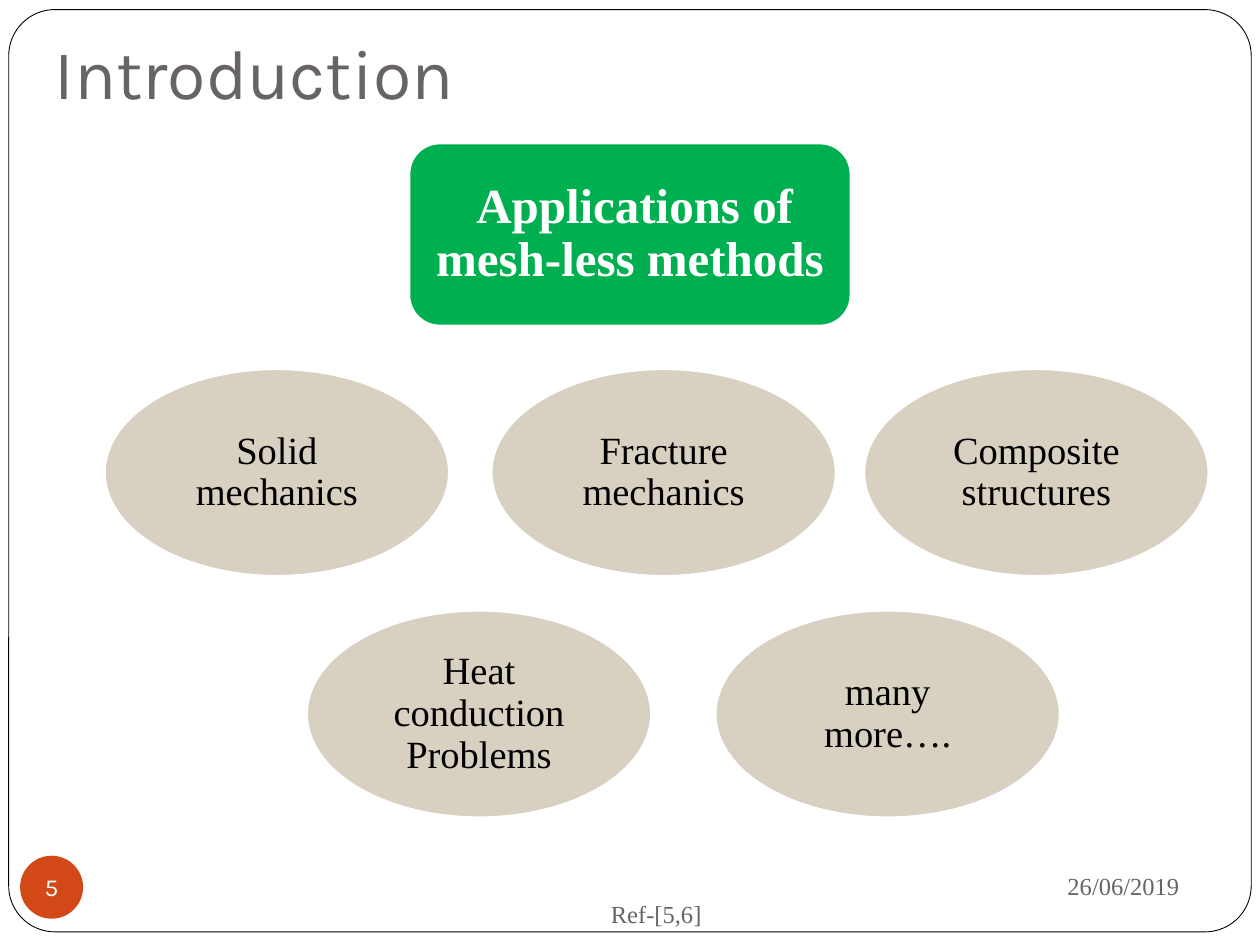
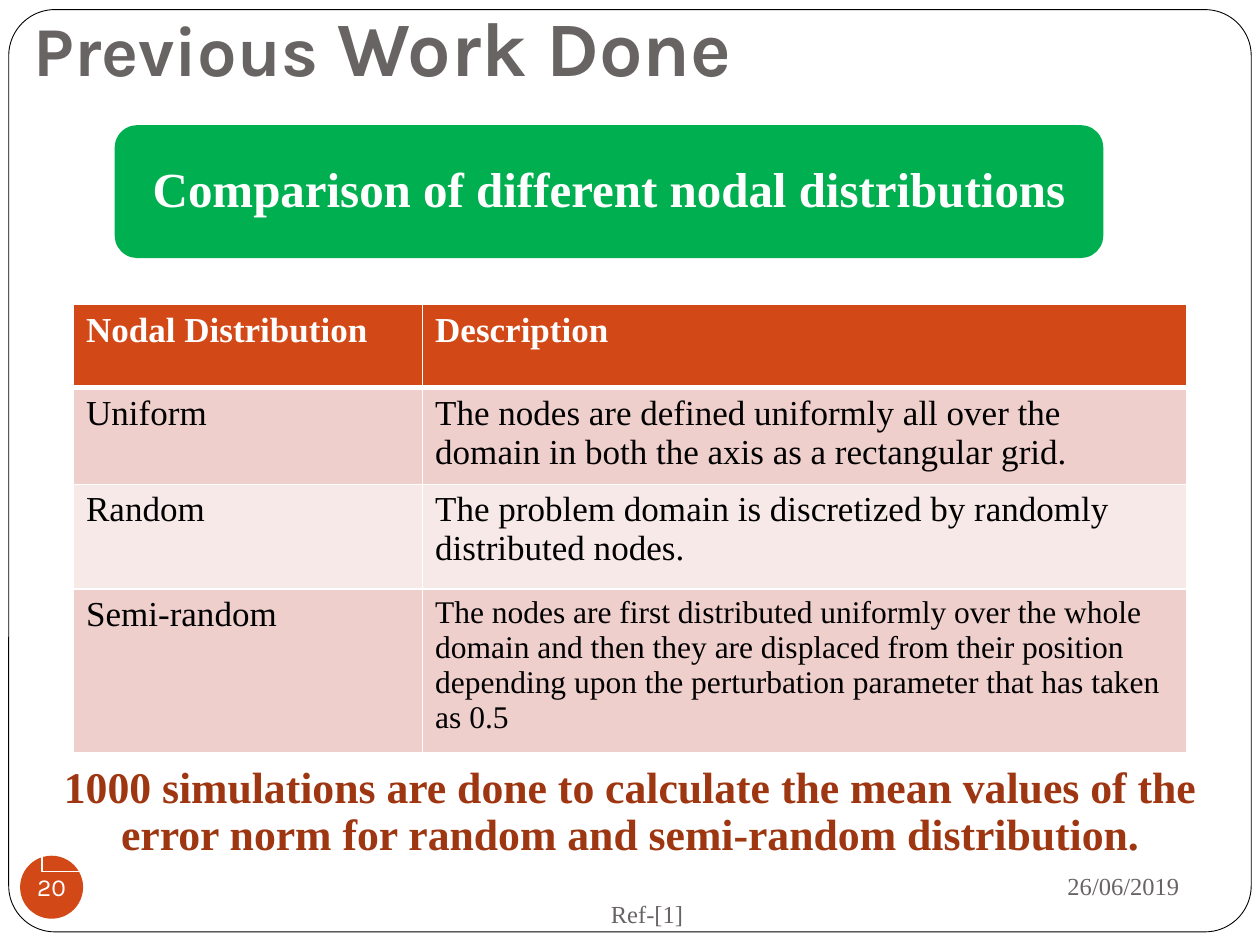
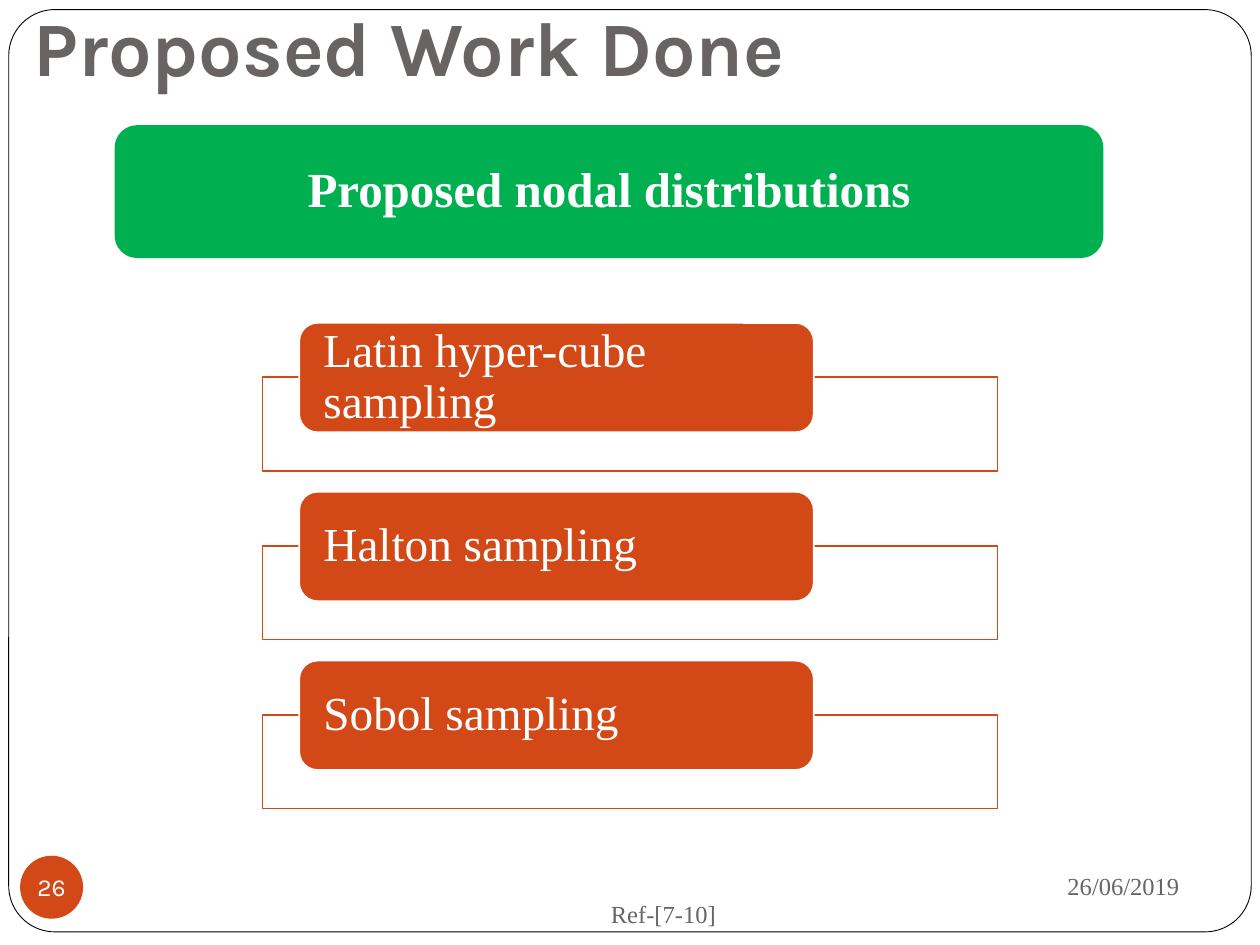
from dataclasses import dataclass

from lxml import etree
from pptx import Presentation
from pptx.dml.color import RGBColor
from pptx.enum.shapes import MSO_SHAPE
from pptx.enum.text import MSO_ANCHOR, MSO_AUTO_SIZE, PP_ALIGN
from pptx.oxml.ns import qn
from pptx.util import Pt

ROUNDED = MSO_SHAPE.ROUNDED_RECTANGLE
BANNER = MSO_SHAPE.FLOWCHART_ALTERNATE_PROCESS
OVAL = MSO_SHAPE.OVAL
RECTANGLE = MSO_SHAPE.RECTANGLE
LEFT, CENTER, RIGHT = PP_ALIGN.LEFT, PP_ALIGN.CENTER, PP_ALIGN.RIGHT
MIDDLE, BOTTOM = MSO_ANCHOR.MIDDLE, MSO_ANCHOR.BOTTOM
NO_AUTOFIT = MSO_AUTO_SIZE.NONE
TITLE_ONLY = 5


@dataclass(frozen=True)
class Theme:
    # Fonts
    heading_font: str = "Karla"
    body_font: str = "Times New Roman"
    # Colours
    white: str = "FFFFFF"
    black: str = "000000"
    grey: str = "696464"
    green: str = "00B050"
    orange: str = "D34817"
    rust: str = "9E3611"
    sand: str = "D8D0C0"
    band_dark: str = "EFCFCC"
    band_light: str = "F7E9E8"
    # Type sizes
    title: int = 40
    title_large: int = 44
    banner: int = 28
    sampling: int = 27
    note: int = 25
    oval: int = 22
    table: int = 20
    table_small: int = 18
    footer: int = 14


THEME = Theme()
FRAME_BOX = (5, 5.5, 710, 527)
BADGE_BOX = (11.5, 489, 36, 36)
REFERENCE_BOX = (342, 504, 312, 36)
DATE_BOX = (486, 487.5, 195, 37.5)
TITLE_BOX = (12, -30, 612, 90)
BANNER_BOX = (66, 72, 564, 75)


# Shared helpers
def color(value):
    return RGBColor.from_string(value)


def points(box):
    return [Pt(length) for length in box]


def style_font(font, size, text_color, bold=False, name=THEME.body_font):
    font.name = name
    font.size = Pt(size)
    font.bold = bold
    font.color.rgb = color(text_color)


def set_margins(text_frame, left, top, right, bottom):
    text_frame.margin_left, text_frame.margin_top = Pt(left), Pt(top)
    text_frame.margin_right, text_frame.margin_bottom = Pt(right), Pt(bottom)


def write(shape, text, size, text_color, bold=False, name=THEME.body_font,
          align=CENTER, margins=(7.2, 7.2), spacing=0.9, wrap=True):
    text_frame = shape.text_frame
    text_frame.text = text
    text_frame.word_wrap = wrap
    text_frame.vertical_anchor = MIDDLE
    set_margins(text_frame, *margins, *margins)
    paragraph = text_frame.paragraphs[0]
    paragraph.alignment = align
    paragraph.line_spacing = spacing
    style_font(paragraph.runs[0].font, size, text_color, bold, name)


def add_box(slide, kind, box, fill=None, line=None, width=1):
    shape = slide.shapes.add_shape(kind, *points(box))
    shape.shadow.inherit = False
    if fill:
        shape.fill.solid()
        shape.fill.fore_color.rgb = color(fill)
    else:
        shape.fill.background()
    if line:
        shape.line.color.rgb = color(line)
        shape.line.width = Pt(width)
    else:
        shape.line.fill.background()
    return shape


# Parts found on every slide
def add_frame_to_layout(slide, layout):
    frame = add_box(slide, ROUNDED, FRAME_BOX, THEME.white, THEME.black, 0.5)
    frame.adjustments[0] = 0.05
    frame.element.nvSpPr.cNvPr.set("id", "20")
    layout.shapes.element.append(frame.element)


def add_title(slide, box, pieces, bold):
    title = slide.shapes.title
    title.left, title.top, title.width, title.height = points(box)
    text_frame = title.text_frame
    text_frame.auto_size = NO_AUTOFIT
    text_frame.word_wrap = True
    text_frame.vertical_anchor = BOTTOM
    set_margins(text_frame, 7.2, 3.6, 7.2, 7.2)
    paragraph = text_frame.paragraphs[0]
    paragraph.alignment = LEFT
    for text, size in pieces:
        run = paragraph.add_run()
        run.text = text
        style_font(run.font, size, THEME.grey, bold, THEME.heading_font)


def add_footer(slide, number, reference):
    badge = add_box(slide, OVAL, BADGE_BOX, THEME.orange)
    write(badge, number, THEME.footer, THEME.white, name=THEME.heading_font,
          margins=(0, 0), spacing=1, wrap=False)
    for box, text, align in ((REFERENCE_BOX, reference, LEFT),
                             (DATE_BOX, "26/06/2019", RIGHT)):
        text_box = slide.shapes.add_textbox(*points(box))
        write(text_box, text, THEME.footer, THEME.grey, align=align,
              margins=(7.2, 3.6), spacing=1)


def add_banner(slide, box, text, kind=BANNER, line=THEME.green, margin=8.64):
    banner = add_box(slide, kind, box, THEME.green, line)
    write(banner, text, THEME.banner, THEME.white, bold=True,
          margins=(margin, margin))


# Ovals naming the applications
def add_applications(slide, box):
    left, top, width, height = box
    oval_width, oval_height = 196.5, 118
    rows = (
        ((0, "Solid mechanics"), (221, "Fracture mechanics"),
         (434, "Composite structures")),
        ((115.5, "Heat conduction Problems"), (349, "many more….")),
    )
    pitch = (height - oval_height) / (len(rows) - 1)
    for index, row in enumerate(rows):
        for offset, text in row:
            oval_box = (left + offset, top + index * pitch,
                        oval_width, oval_height)
            oval = add_box(slide, OVAL, oval_box, THEME.sand, THEME.white)
            write(oval, text, THEME.oval, THEME.black, margins=(6.5, 6.5))


# Table of nodal distributions
def set_borders(cell, bottom_width):
    properties = cell._tc.get_or_add_tcPr()
    widths = {"a:lnL": 1, "a:lnR": 1, "a:lnT": 1, "a:lnB": bottom_width}
    for index, (tag, width) in enumerate(widths.items()):
        border = etree.Element(qn(tag), w=str(Pt(width)))
        fill = etree.SubElement(border, qn("a:solidFill"))
        etree.SubElement(fill, qn("a:srgbClr"), val=THEME.white)
        properties.insert(index, border)


def add_distribution_table(slide, box):
    column_widths = (199.5, 436.5)
    rows = (
        (47.5, THEME.orange, THEME.table,
         ("Nodal Distribution", "Description")),
        (52, THEME.band_dark, THEME.table,
         ("Uniform", "The nodes are defined uniformly all over the domain "
          "in both the axis as a rectangular grid.")),
        (60, THEME.band_light, THEME.table,
         ("Random", "The problem domain is discretized by randomly "
          "distributed nodes.")),
        (75, THEME.band_dark, THEME.table_small,
         ("Semi-random", "The nodes are first distributed uniformly over "
          "the whole domain and then they are displaced from their position "
          "depending upon the perturbation parameter that has taken as 0.5")),
    )
    table = slide.shapes.add_table(
        len(rows), len(column_widths), *points(box)).table
    for column, width in zip(table.columns, column_widths):
        column.width = Pt(width)
    for row_index, (height, fill, size, texts) in enumerate(rows):
        header = row_index == 0
        table.rows[row_index].height = Pt(height)
        for cell, text, text_size in zip(table.rows[row_index].cells, texts,
                                         (THEME.table, size)):
            cell.text = text
            cell.fill.solid()
            cell.fill.fore_color.rgb = color(fill)
            set_borders(cell, 3 if header else 1)
            style_font(cell.text_frame.paragraphs[0].runs[0].font, text_size,
                       THEME.white if header else THEME.black, header)


def add_note(slide, box, text):
    note = add_box(slide, RECTANGLE, box, line=THEME.white)
    write(note, text, THEME.note, THEME.rust, bold=True)


# Sampling methods, each a label over an outlined panel
def add_sampling_list(slide, box, names):
    left, top, width, height = box
    panel_height, panel_drop = 53.5, 31
    pitch = (height - panel_drop - panel_height) / (len(names) - 1)
    for index, name in enumerate(names):
        label_top = top + index * pitch
        panel = add_box(slide, RECTANGLE,
                        (left, label_top + panel_drop, width, panel_height),
                        THEME.white, THEME.orange)
        panel_color = panel.element.spPr.find(
            qn("a:solidFill")).find(qn("a:srgbClr"))
        etree.SubElement(panel_color, qn("a:alpha"), val="90000")
        label = add_box(slide, ROUNDED,
                        (left + 21, label_top, 0.7 * width, 62.5),
                        THEME.orange, THEME.white)
        write(label, name, THEME.sampling, THEME.white, align=LEFT,
              margins=(10.8, 0))


# Slides
def build_introduction(slide):
    add_title(slide, (24, -18, 612, 90), [("Introduction", THEME.title)],
              bold=False)
    add_banner(slide, (234, 82, 252, 104),
               " Applications of mesh-less methods", ROUNDED, THEME.white, 7.2)
    add_footer(slide, "5", "Ref-[5,6]")
    add_applications(slide, (60, 211, 630.5, 256))


def build_previous_work(slide):
    add_title(slide, TITLE_BOX, [("Previous", THEME.title),
                                 (" Work Done", THEME.title_large)], bold=True)
    add_footer(slide, "20", "Ref-[1]")
    add_banner(slide, BANNER_BOX,
               "Comparison of different nodal distributions")
    add_distribution_table(slide, (42, 174, 636, 234.5))
    add_note(slide, (24, 430.5, 672, 67.5),
             "1000 simulations are done to calculate the mean values of the "
             "error norm for random and semi-random distribution.")


def build_proposed_work(slide):
    add_title(slide, TITLE_BOX, [("Proposed Work Done", THEME.title_large)],
              bold=True)
    add_footer(slide, "26", "Ref-[7-10]")
    add_banner(slide, BANNER_BOX, "Proposed nodal distributions")
    add_sampling_list(slide, (150, 184.5, 420, 277.5),
                      ("Latin hyper-cube sampling", "Halton sampling",
                       "Sobol sampling"))


def main():
    presentation = Presentation()
    presentation.slide_width, presentation.slide_height = Pt(720), Pt(540)
    layout = presentation.slide_layouts[TITLE_ONLY]
    builders = (build_introduction, build_previous_work, build_proposed_work)
    for index, build in enumerate(builders):
        slide = presentation.slides.add_slide(layout)
        if index == 0:
            add_frame_to_layout(slide, layout)
        build(slide)
    presentation.save("out.pptx")


if __name__ == "__main__":
    main()
